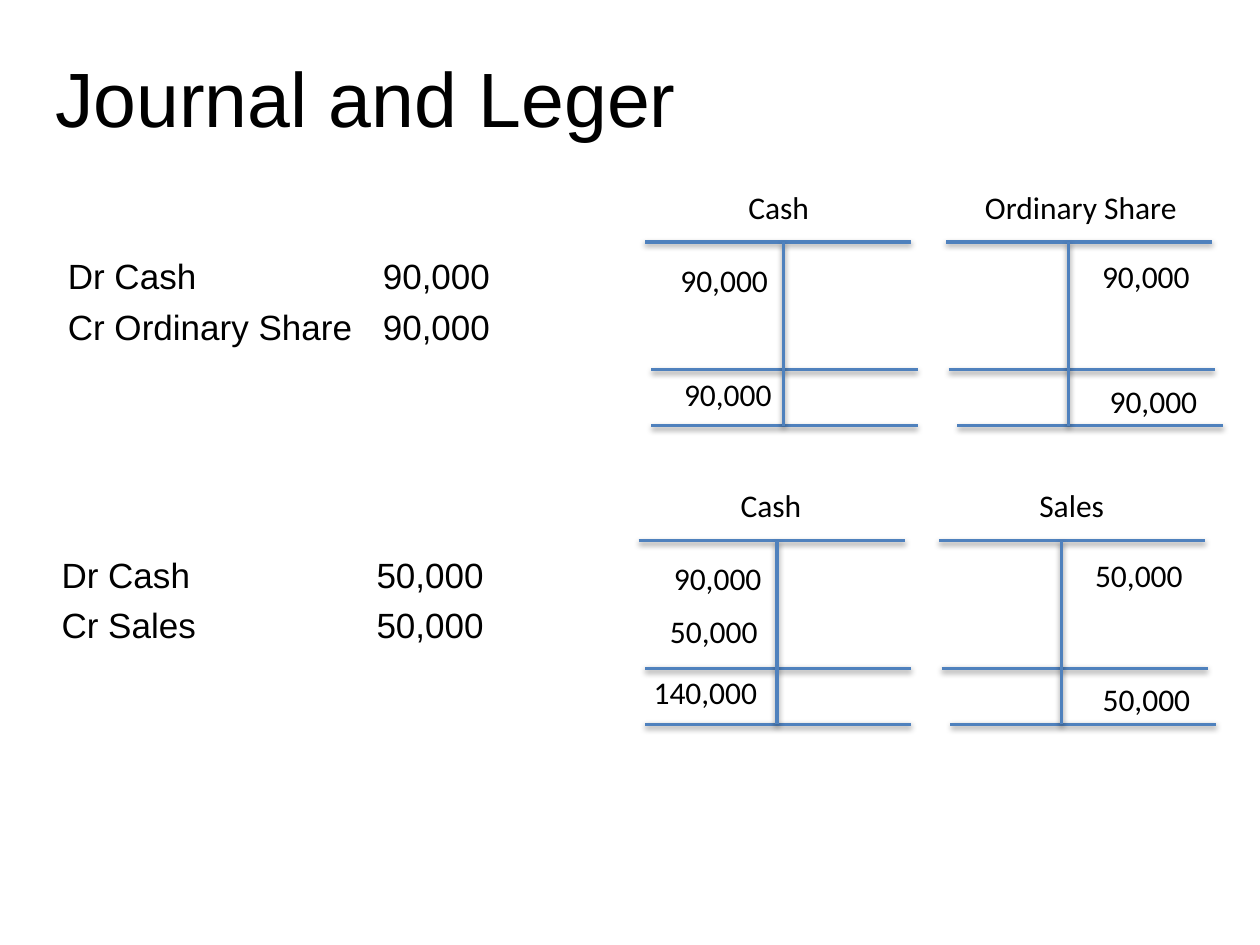
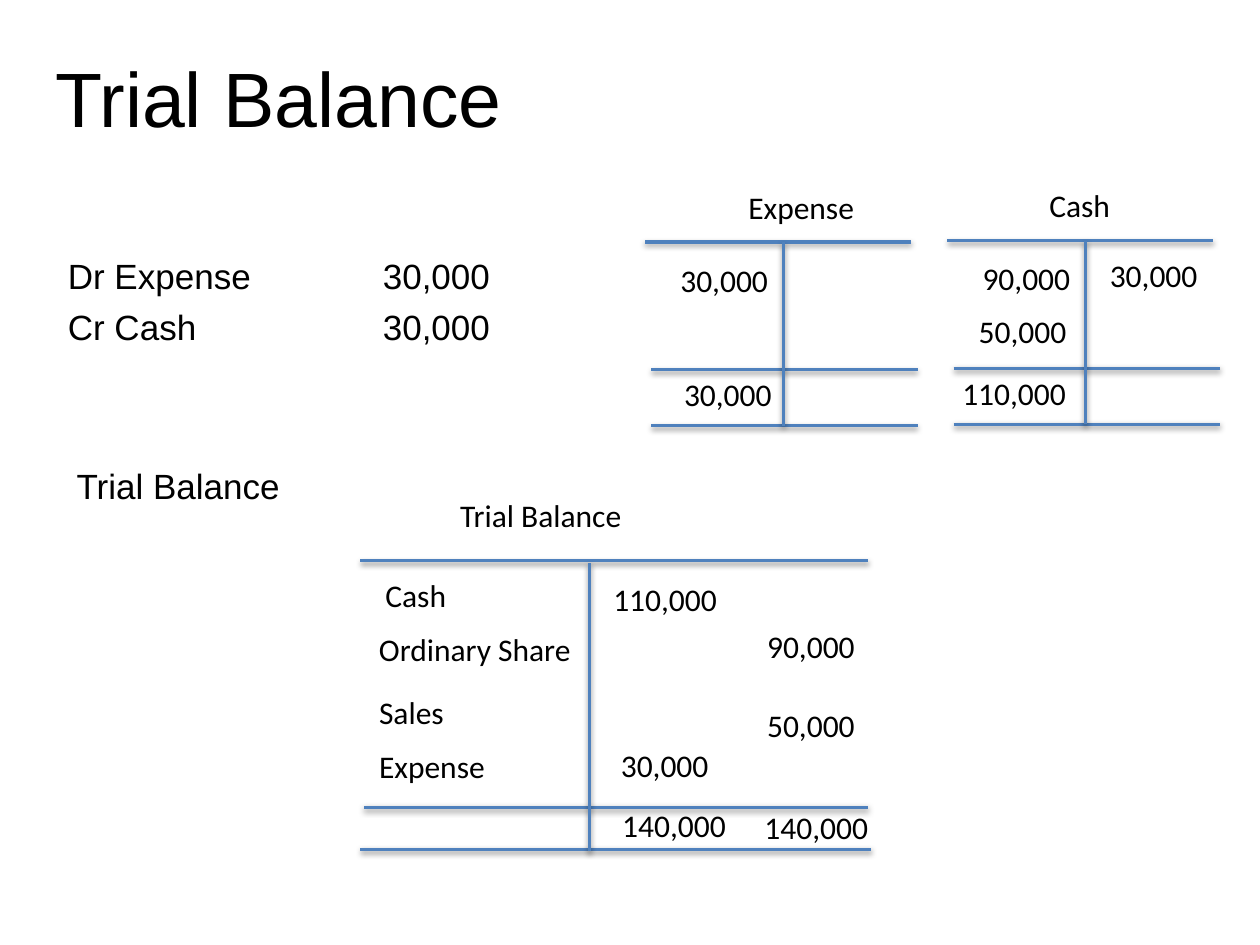
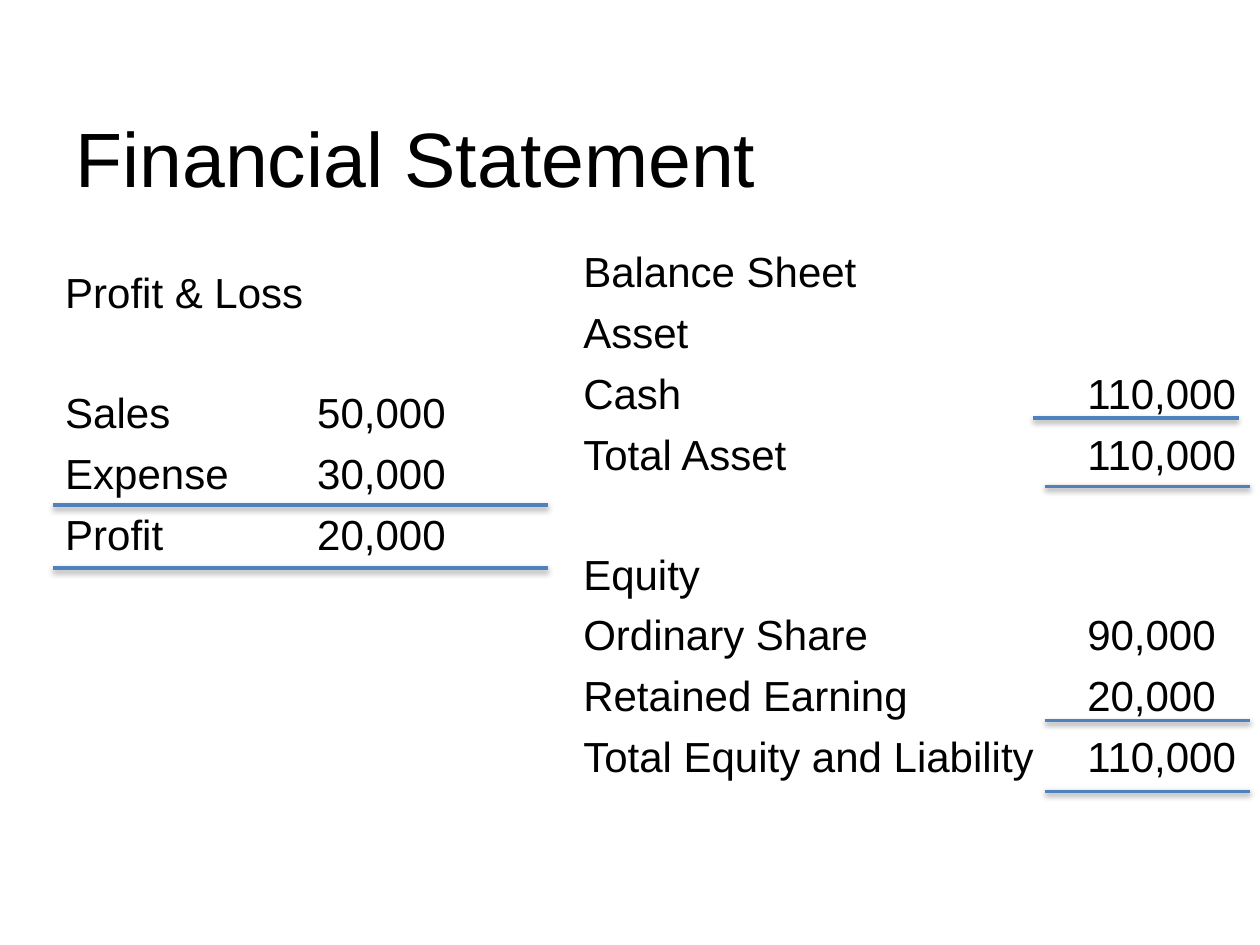
from typing import NamedTuple

from lxml import etree
from pptx import Presentation
from pptx.dml.color import RGBColor
from pptx.enum import shapes, text
from pptx.oxml import ns
from pptx.util import Pt

BLACK = RGBColor(0x00, 0x00, 0x00)
RULE_BLUE = RGBColor(0x4F, 0x81, 0xBD)
HEADING_FONT = "Arial"
LEDGER_FONT = "Calibri"

RULE_LENGTH = 152
TOTAL_DROP = 73
CLOSING_DROP = 105
ENTRY_HEIGHT = 29
NAME_WIDTHS = {
    "Cash": 49.7,
    "Sales": 51.8,
    "Expense": 75.6,
    "Trial Balance": 107.3,
    "Ordinary Share": 125.3,
}
AMOUNT_WIDTHS = {6: 64.8, 7: 74.2}


class AccountStyle(NamedTuple):
    stem: float
    total_shift: float
    closing_shift: float


DEBIT_ACCOUNT = AccountStyle(79, 3.6, 3.6)
CREDIT_ACCOUNT = AccountStyle(70, 1.5, 6.5)

FIRST_DEBIT = (13, 7.2)
SECOND_DEBIT = (10.8, 37.4)
DEBIT_TOTAL = (15.1, 72.7)
WIDE_DEBIT_TOTAL = (1.4, 72.4)
FIRST_CREDIT = (82.1, 5)
CREDIT_TOTAL = (86.4, 76.3)


def add_text(slide, left, top, width, height, lines, font_name, size):
    shape = slide.shapes.add_textbox(Pt(left), Pt(top), Pt(width), Pt(height))
    frame = shape.text_frame
    frame.word_wrap = True
    frame.text = "\n".join(lines)
    for paragraph in frame.paragraphs:
        for run in paragraph.runs:
            run.font.name = font_name
            run.font.size = Pt(size)
            run.font.color.rgb = BLACK
    return frame


def add_title(slide, left, top, title):
    frame = add_text(slide, left, top, 648, 90, [title], HEADING_FONT, 44)
    frame.vertical_anchor = text.MSO_ANCHOR.MIDDLE


def add_rule(slide, start_x, start_y, end_x, end_y):
    rule = slide.shapes.add_connector(
        shapes.MSO_CONNECTOR.STRAIGHT, Pt(start_x), Pt(start_y), Pt(end_x), Pt(end_y))
    rule.line.color.rgb = RULE_BLUE
    rule.line.width = Pt(2)


def add_tab_stop(paragraph, position):
    tab_list = etree.SubElement(paragraph._p.get_or_add_pPr(), ns.qn("a:tabLst"))
    etree.SubElement(tab_list, ns.qn("a:tab"), pos=str(Pt(position)), algn="l")


def add_statement(slide, box, lines, size, tab, section_starts=()):
    frame = add_text(slide, *box, lines, HEADING_FONT, size)
    gap = size * 0.25
    section_gap = size * 1.4 + gap
    for index, paragraph in enumerate(frame.paragraphs):
        paragraph.space_before = Pt(section_gap if index in section_starts else gap)
        add_tab_stop(paragraph, tab)


def add_journal(slide, left, top, lines):
    add_statement(slide, (left, top, 293, 65.5), lines, 20, 180)


def add_entries(slide, left, top, entries):
    for label, (shift, drop) in entries:
        width = NAME_WIDTHS.get(label) or AMOUNT_WIDTHS[len(label)]
        frame = add_text(slide, left + shift, top + drop, width, ENTRY_HEIGHT,
                         [label], LEDGER_FONT, 18)
        frame.word_wrap = False
        frame.auto_size = text.MSO_AUTO_SIZE.SHAPE_TO_FIT_TEXT


def add_account(slide, left, top, style, name, name_shift, entries):
    for shift, drop in ((0, 0), (style.total_shift, TOTAL_DROP),
                        (style.closing_shift, CLOSING_DROP)):
        start = left + shift
        add_rule(slide, start, top + drop, start + RULE_LENGTH, top + drop)
    stem = left + style.stem
    add_rule(slide, stem, top, stem, top + CLOSING_DROP)
    add_entries(slide, left, top, [(name, (name_shift, -34.6)), *entries])


def add_trial_balance(slide, left, top):
    for start, end, drop in ((0, 290, 0), (2.2, 290, 141), (0, 292, 165)):
        add_rule(slide, left + start, top + drop, left + end, top + drop)
    add_rule(slide, left + 131, top + 1.4, left + 131, top + 166)
    add_entries(slide, left, top, [
        ("Trial Balance", (50, -40.3)),
        ("Cash", (7.2, 5)),
        ("110,000", (137.5, 7.2)),
        ("Ordinary Share", (3.6, 36)),
        ("90,000", (225.4, 34.6)),
        ("Sales", (3.6, 72)),
        ("50,000", (225.4, 79.2)),
        ("Expense", (3.6, 103)),
        ("30,000", (141.8, 102.2)),
        ("140,000", (142.6, 136.8)),
        ("140,000", (223.9, 137.5)),
    ])


def build_journal_slide(slide):
    add_title(slide, 24.5, 10, "Journal and Leger")
    add_journal(slide, 31.7, 141.8, ["Dr Cash\t90,000", "Cr Ordinary Share\t90,000"])
    add_account(slide, 368.7, 138.2, DEBIT_ACCOUNT, "Cash", 51.8,
                [("90,000", FIRST_DEBIT), ("90,000", DEBIT_TOTAL)])
    add_account(slide, 540.6, 138.2, CREDIT_ACCOUNT, "Ordinary Share", 15.2,
                [("90,000", FIRST_CREDIT), ("90,000", CREDIT_TOTAL)])
    add_journal(slide, 28.1, 312.5, ["Dr Cash\t50,000", "Cr Sales\t50,000"])
    add_account(slide, 365, 308.9, DEBIT_ACCOUNT, "Cash", 51.1,
                [("90,000", FIRST_DEBIT), ("50,000", SECOND_DEBIT),
                 ("140,000", WIDE_DEBIT_TOTAL)])
    add_account(slide, 536.6, 308.9, CREDIT_ACCOUNT, "Sales", 50.2,
                [("50,000", FIRST_CREDIT), ("50,000", CREDIT_TOTAL)])


def build_trial_balance_slide(slide):
    add_title(slide, 24.5, 10, "Trial Balance")
    add_journal(slide, 31.7, 141.8, ["Dr Expense\t30,000", "Cr Cash\t30,000"])
    add_account(slide, 368.7, 138.2, DEBIT_ACCOUNT, "Expense", 51.8,
                [("30,000", FIRST_DEBIT), ("30,000", DEBIT_TOTAL)])
    add_account(slide, 541.4, 137.5, DEBIT_ACCOUNT, "Cash", 51.1,
                [("90,000", FIRST_DEBIT), ("50,000", SECOND_DEBIT),
                 ("30,000", (85.7, 5)), ("110,000", WIDE_DEBIT_TOTAL)])
    add_journal(slide, 36.7, 262.1, ["Trial Balance"])
    add_trial_balance(slide, 205.9, 320.4)


def add_profit_and_loss(slide, left, top):
    add_statement(slide, (left, top, 358, 291), [
        "Profit & Loss",
        "Sales\t50,000",
        "Expense\t30,000",
        "Profit\t20,000",
    ], 24, 144, section_starts=(1,))
    for drop in (139.7, 175.7):
        add_rule(slide, left, top + drop, left + 283, top + drop)


def add_balance_sheet(slide, left, top):
    add_statement(slide, (left, top, 394, 348), [
        "Balance Sheet",
        "Asset",
        "Cash\t110,000",
        "Total Asset\t110,000",
        "Equity",
        "Ordinary Share\t90,000",
        "Retained Earning\t20,000",
        "Total Equity and Liability\t110,000",
    ], 24, 288, section_starts=(4,))
    for shift, drop in ((264.2, 102.2), (270.7, 141.1), (270.7, 275), (270.7, 315.4)):
        start = left + shift
        add_rule(slide, start, top + drop, start + 117.4, top + drop)


def build_statement_slide(slide):
    add_title(slide, 36, 44.6, "Financial Statement")
    add_profit_and_loss(slide, 30.2, 149)
    add_balance_sheet(slide, 326.2, 136.8)


def main():
    presentation = Presentation()
    presentation.slide_width = Pt(720)
    presentation.slide_height = Pt(540)
    blank = presentation.slide_layouts[6]
    for build in (build_journal_slide, build_trial_balance_slide, build_statement_slide):
        build(presentation.slides.add_slide(blank))
    presentation.save("out.pptx")


if __name__ == "__main__":
    main()
